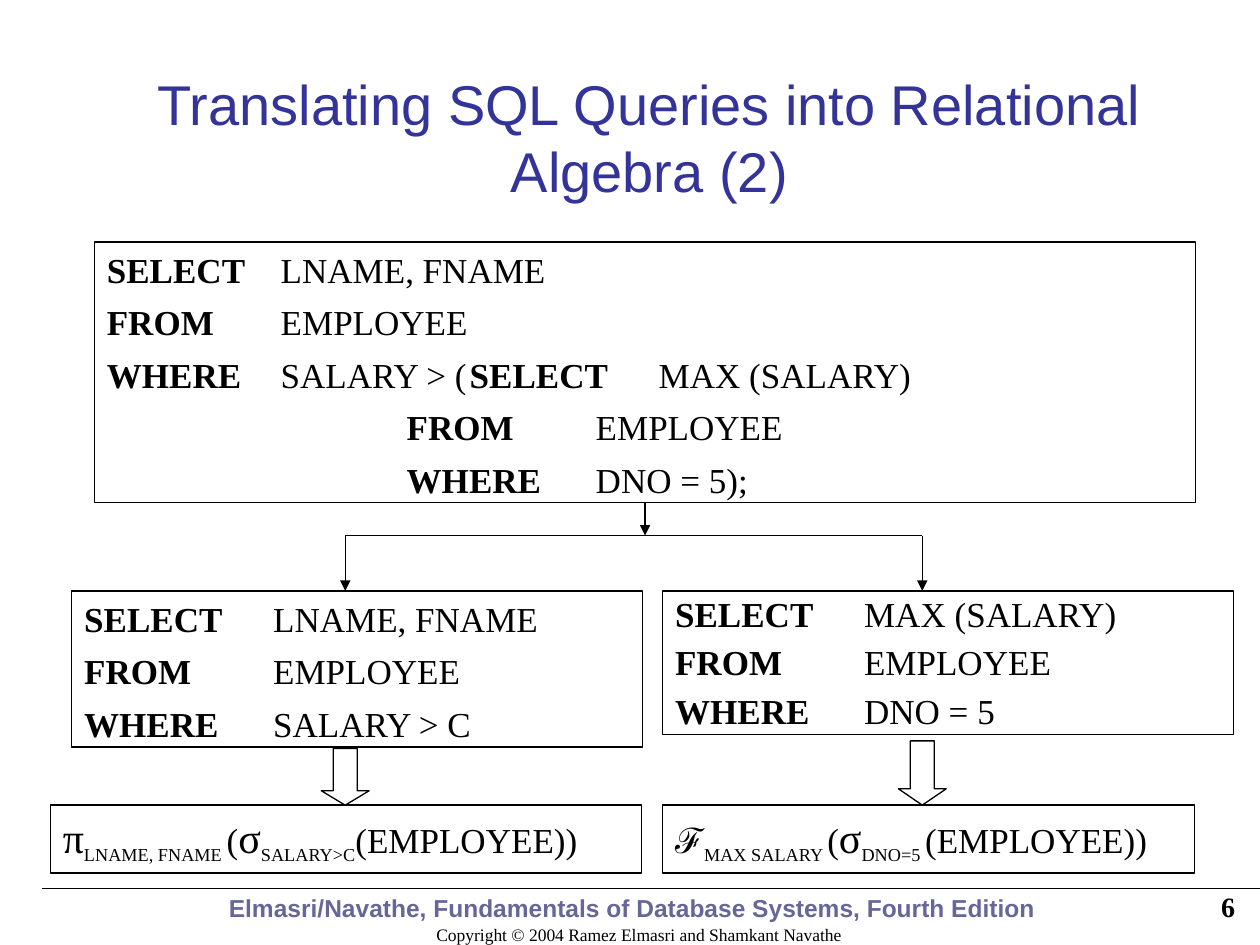
"""Build the slide on translating nested SQL queries into relational algebra."""
from lxml.etree import SubElement
from pptx import Presentation
from pptx.dml.color import RGBColor
from pptx.enum.shapes import MSO_CONNECTOR as Connector, MSO_SHAPE as Shape
from pptx.enum.text import MSO_ANCHOR as Anchor, PP_ALIGN as Align
from pptx.oxml.ns import qn
from pptx.util import Inches, Pt

BLACK = RGBColor(0x00, 0x00, 0x00)
TITLE_BLUE = RGBColor(0x33, 0x33, 0x99)
FOOTER_BLUE = RGBColor(0x66, 0x66, 0x99)
SERIF, SANS = "Times New Roman", "Arial"

presentation = Presentation()
presentation.slide_width, presentation.slide_height = Inches(10), Inches(7.5)
slide = presentation.slides.add_slide(presentation.slide_layouts[6])


def add_outline(preset, left, top, width, height):
    shape = slide.shapes.add_shape(preset, Inches(left), Inches(top), Inches(width), Inches(height))
    shape.shadow.inherit = False
    shape.fill.background()
    shape.line.color.rgb = BLACK
    shape.line.width = Pt(0.75)
    shape.text_frame.vertical_anchor = Anchor.TOP
    return shape


def add_line(start_x, start_y, end_x, end_y, arrow=False):
    line = slide.shapes.add_connector(
        Connector.STRAIGHT, Inches(start_x), Inches(start_y), Inches(end_x), Inches(end_y))
    line.line.color.rgb = BLACK
    line.line.width = Pt(0.75)
    if arrow:
        SubElement(line.line._get_or_add_ln(), qn("a:tailEnd"), type="triangle")
    SubElement(line._element.spPr, qn("a:effectLst"))
    return line


add_line(0.33, 7.05, 10, 7.05)

labels = [
    ("Copyright © 2004 Ramez Elmasri and Shamkant Navathe",
     2.85, 7.05, 4.44, 0.5, Anchor.BOTTOM, Align.CENTER, SERIF, 10, False, BLACK),
    ("Elmasri/Navathe, Fundamentals of Database Systems, Fourth Edition ",
     0.9, 6.87, 8.29, 0.5, Anchor.BOTTOM, Align.CENTER, SANS, 14, True, FOOTER_BLUE),
    ("Translating SQL Queries into Relational Algebra (2)",
     1.06, 0.46, 8.19, 1.25, Anchor.MIDDLE, Align.CENTER, SANS, 32, False, TITLE_BLUE),
    ("6", 7.82, 6.98, 2.08, 0.42, Anchor.MIDDLE, Align.RIGHT, SERIF, 16, True, BLACK),
]
for text, left, top, width, height, anchor, align, font, size, bold, color in labels:
    label = slide.shapes.add_textbox(Inches(left), Inches(top), Inches(width), Inches(height))
    label.text_frame.word_wrap = True
    label.text_frame.vertical_anchor = anchor
    label.text_frame.text = text
    paragraph = label.text_frame.paragraphs[0]
    paragraph.alignment = align
    run = paragraph.runs[0]
    run.font.name, run.font.size, run.font.bold = font, Pt(size), bold
    run.font.color.rgb = color

queries = [
    ((0.75, 1.92, 8.74, 2.07), 0.38, 1, [
        ["SELECT\t", "LNAME, FNAME"],
        ["FROM\t\t", "EMPLOYEE"],
        ["WHERE\t", "SALARY > (\t", "SELECT\t", "MAX (SALARY)"],
        ["\t\t\t\t\tFROM\t\t", "EMPLOYEE"],
        ["\t\t\t\t\tWHERE\t", "DNO = 5);"]]),
    ((5.26, 4.69, 4.53, 1.14), 0, 0.9, [
        ["SELECT\t", "MAX (SALARY)"],
        ["FROM\t\t", "EMPLOYEE"],
        ["WHERE\t", "DNO = 5"]]),
    ((0.57, 4.69, 4.53, 1.24), 0, 1, [
        ["SELECT\t", "LNAME, FNAME"],
        ["FROM\t\t", "EMPLOYEE"],
        ["WHERE\t", "SALARY > C"]]),
]
query_boxes = []
for bounds, indent, spacing, clauses in queries:
    box = add_outline(Shape.RECTANGLE, *bounds)
    query_boxes.append(box)
    for row, clause in enumerate(clauses):
        paragraph = box.text_frame.add_paragraph() if row else box.text_frame.paragraphs[0]
        paragraph.alignment = Align.LEFT
        paragraph.line_spacing = spacing
        paragraph.space_before = Pt(6 if row else 0)
        properties = paragraph._p.get_or_add_pPr()
        properties.set("marL", str(Inches(indent)))
        properties.set("indent", str(-Inches(indent)))
        tabs = SubElement(properties, qn("a:tabLst"))
        for inch in range(8):
            SubElement(tabs, qn("a:tab"), pos=str(Inches(inch)), algn="l")
        for index, text in enumerate(clause):
            run = paragraph.add_run()
            run.text = text
            run.font.name, run.font.size = SERIF, Pt(20)
            run.font.bold = index % 2 == 0
            run.font.color.rgb = BLACK

nested_query = query_boxes[0]
trunk_x, branch_y = 5.12, 4.25
trunk = add_line(trunk_x, 3.99, trunk_x, branch_y, arrow=True)
trunk.begin_connect(nested_query, 2)
branch_xs = (2.74, 7.32)
add_line(branch_xs[0], branch_y, branch_xs[1], branch_y)
for branch_x in branch_xs:
    add_line(branch_x, branch_y, branch_x, 4.69, arrow=True)

formulas = [
    (0.4, 4.69, [("π", 24, SERIF), ("LNAME, FNAME ", 18, SERIF), ("(", 20, SERIF),
                 ("σ", 24, SERIF), ("SALARY>C", 18, SERIF), ("(EMPLOYEE))", 20, SERIF)]),
    (5.26, 4.22, [("ℱ", 20, SANS), ("MAX SALARY ", 18, SERIF), ("(", 20, SERIF),
                  ("σ", 24, SERIF), ("DNO=5 ", 18, SERIF), ("(EMPLOYEE))", 20, SERIF)]),
]
for left, width, parts in formulas:
    box = add_outline(Shape.RECTANGLE, left, 6.39, width, 0.54)
    paragraph = box.text_frame.paragraphs[0]
    paragraph.alignment = Align.LEFT
    for text, size, font in parts:
        run = paragraph.add_run()
        run.text = text
        run.font.name, run.font.size = font, Pt(size)
        run.font.color.rgb = BLACK
        if size == 18:
            run._r.get_or_add_rPr().set("baseline", "-25000")

for branch_x, top, head in zip(branch_xs, (5.94, 5.88), (0.3, 0.34)):
    arrow = add_outline(Shape.DOWN_ARROW, branch_x - 0.19, top, 0.38, 6.39 - top)
    arrow.adjustments[1] = head

presentation.save("out.pptx")
